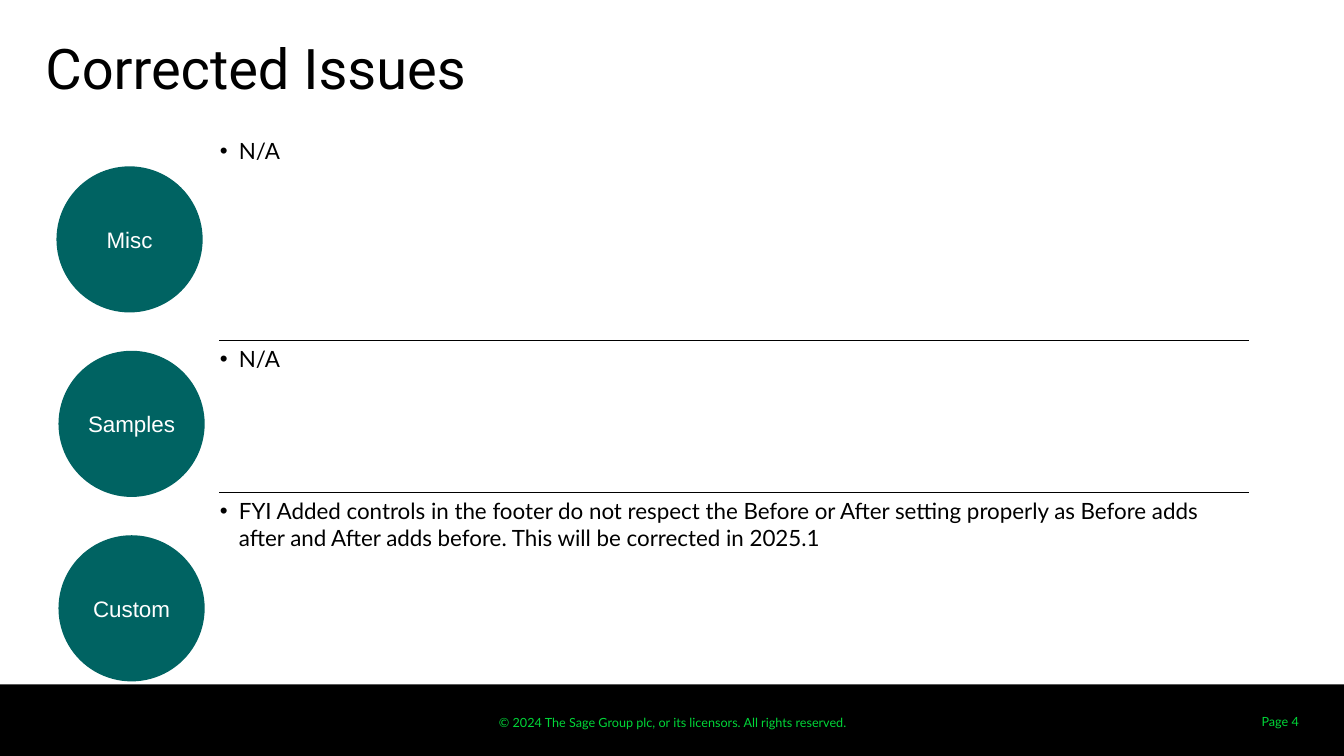
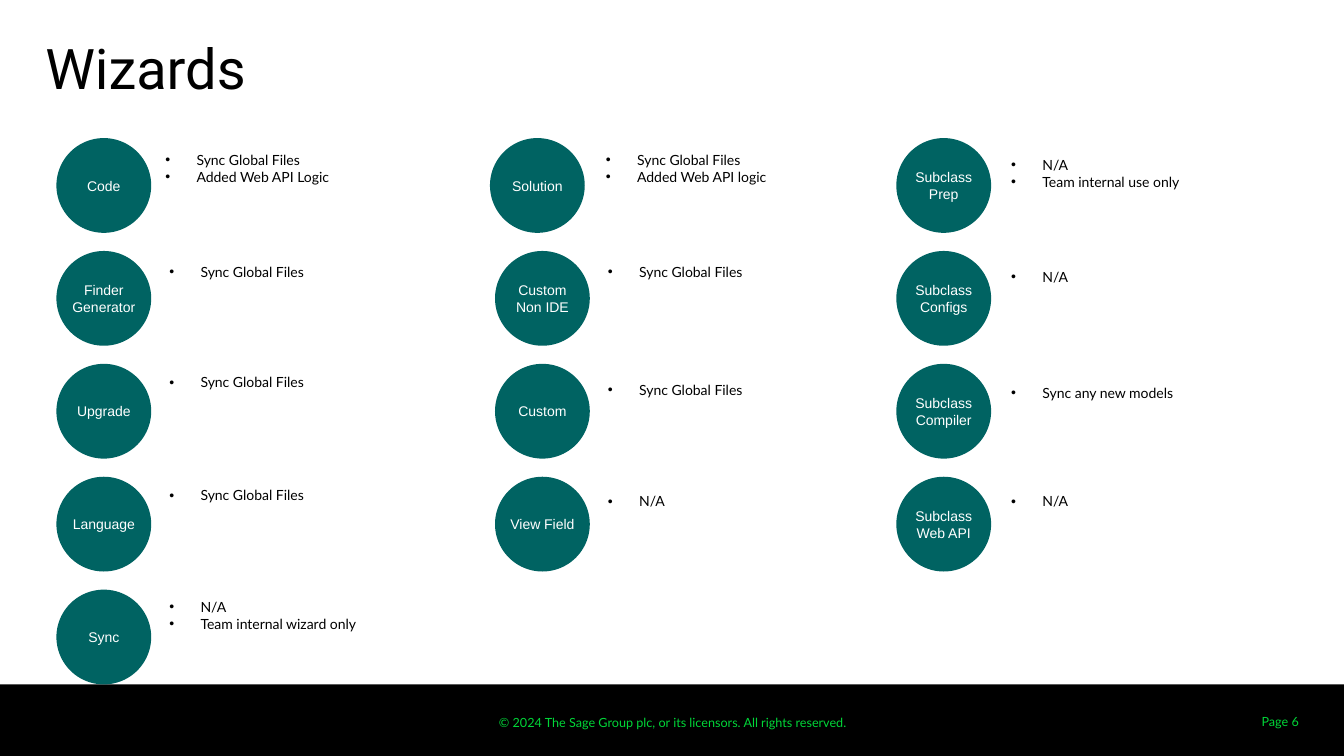
from dataclasses import dataclass

from pptx import Presentation
from pptx import util as u
from pptx.dml.color import RGBColor
from pptx.enum import shapes, text
from pptx.oxml import ns
from lxml import etree

Inches = u.Inches

COLORS = {
    "ink": "000000",
    "paper": "FFFFFF",
    "circle": "006362",
    "footer": "00D638",
}
COPYRIGHT = "© 2024 The Sage Group plc, or its licensors. All rights reserved."


@dataclass(frozen=True)
class TextStyle:
    font: str
    size: int
    color: str


@dataclass(frozen=True)
class Issue:
    area: str
    note: str
    row_height: float
    circle_left: float = 0.58


@dataclass(frozen=True)
class Wizard:
    name: str
    notes: str
    list_top: float
    circle_shift: float = 0
    list_shift: float = 0


@dataclass(frozen=True)
class WizardColumn:
    circle_left: float
    list_left: float
    wizards: tuple[Wizard, ...]


TITLE = TextStyle("Roboto", 40, "ink")
FOOTER = TextStyle("Lato", 9, "footer")
ISSUE_NOTE = TextStyle("Lato", 16, "ink")
ISSUE_CIRCLE = TextStyle("Arial", 16, "paper")
WIZARD_NOTE = TextStyle("Lato", 10, "ink")
WIZARD_CIRCLE = TextStyle("Arial", 10, "paper")

ISSUES = (
    Issue("Misc", "N/A", 2.07, circle_left=0.56),
    Issue("Samples", "N/A", 1.51),
    Issue("Custom", "FYI Added controls in the footer do not respect the Before or "
          "After setting properly as Before adds after and After adds before. "
          "This will be corrected in 2025.1", 1.51),
)

SYNC = "Sync Global Files"
WIZARD_COLUMNS = (
    WizardColumn(0.56, 1.68, (
        Wizard("Code", SYNC + "\nAdded Web API Logic", 1.5, list_shift=-0.04),
        Wizard("Finder\nGenerator", SYNC, 2.61),
        Wizard("Upgrade", SYNC, 3.71),
        Wizard("Language", SYNC, 4.83),
        Wizard("Sync", "N/A\nTeam internal wizard only", 5.94),
    )),
    WizardColumn(4.91, 6.03, (
        Wizard("Solution", SYNC + "\nAdded Web API logic", 1.5, -0.05, -0.02),
        Wizard("Custom\nNon IDE", SYNC, 2.61),
        Wizard("Custom", SYNC, 3.78),
        Wizard("View Field", "N/A", 4.89),
    )),
    WizardColumn(8.89, 10.03, (
        Wizard("Subclass\nPrep", "N/A\nTeam internal use only", 1.55),
        Wizard("Subclass\nConfigs", "N/A", 2.66),
        Wizard("Subclass\nCompiler", "Sync any new models", 3.81),
        Wizard("Subclass\nWeb API", "N/A", 4.89),
    )),
)


def rgb(name: str) -> RGBColor:
    return RGBColor.from_string(COLORS[name])


# Text helpers
def set_margins(frame, across: float = 0, down: float = 0) -> None:
    frame.margin_left = frame.margin_right = Inches(across)
    frame.margin_top = frame.margin_bottom = Inches(down)


def write(frame, words: str, style: TextStyle, align=text.PP_ALIGN.LEFT) -> None:
    frame.text = words
    for para in frame.paragraphs:
        para.alignment = align
        for span in para.runs:
            span.font.name = style.font
            span.font.size = u.Pt(style.size)
            span.font.color.rgb = rgb(style.color)


def add_bullets(frame, indent: float, space_after: int = 0) -> None:
    for para in frame.paragraphs:
        props = para._p.get_or_add_pPr()
        props.set("marL", str(Inches(indent)))
        props.set("indent", str(-Inches(indent)))
        etree.SubElement(props, ns.qn("a:buFont")).set("typeface", "Arial")
        etree.SubElement(props, ns.qn("a:buChar")).set("char", "•")
        para.space_after = u.Pt(space_after)


def add_text_box(page, left: float, top: float, width: float, height: float):
    box = page.shapes.add_textbox(
        Inches(left), Inches(top), Inches(width), Inches(height))
    box.text_frame.word_wrap = True
    return box


def add_filled(page, kind, left: float, top: float, width: float, height: float,
               color: str):
    shape = page.shapes.add_shape(
        kind, Inches(left), Inches(top), Inches(width), Inches(height))
    shape.shadow.inherit = False
    shape.fill.solid()
    shape.fill.fore_color.rgb = rgb(color)
    shape.line.fill.background()
    return shape


def add_circle(page, left: float, top: float, size: float, label: str,
               style: TextStyle) -> None:
    circle = add_filled(page, shapes.MSO_SHAPE.OVAL, left, top, size, size, "circle")
    frame = circle.text_frame
    frame.word_wrap = False
    frame.vertical_anchor = text.MSO_ANCHOR.MIDDLE
    set_margins(frame)
    write(frame, label, style, text.PP_ALIGN.CENTER)


# Shared layout: title place, black band and copyright line
def prepare_layout(layout) -> None:
    title = layout.placeholders[0]
    title.left, title.top = Inches(0.45), Inches(0.33)
    title.width, title.height = Inches(12.42), Inches(0.65)
    frame = title.text_frame
    frame.vertical_anchor = text.MSO_ANCHOR.TOP
    frame.auto_size = text.MSO_AUTO_SIZE.NONE
    set_margins(frame)


def add_footer(page) -> None:
    band = add_filled(page, shapes.MSO_SHAPE.RECTANGLE, 0, 6.79, 13.33, 0.71, "ink")
    notice = add_text_box(page, 4.92, 7.04, 3.5, 0.25)
    set_margins(notice.text_frame, down=0.05)
    write(notice.text_frame, COPYRIGHT, FOOTER, text.PP_ALIGN.CENTER)
    for part in (band, notice):
        page.slide_layout.shapes.element.append(part.element)


def add_page(deck, layout, title: str, number: int):
    page = deck.slides.add_slide(layout)
    write(page.shapes.title.text_frame, title, TITLE)
    box = add_text_box(page, 12.07, 6.96, 0.91, 0.4)
    box.text_frame.vertical_anchor = text.MSO_ANCHOR.MIDDLE
    write(box.text_frame, f"Page {number}", FOOTER, text.PP_ALIGN.RIGHT)
    return page


# Corrected issues: circles beside a ruled table
def add_rule(cell, side: str) -> None:
    line = etree.Element(ns.qn(f"a:{side}"), w=str(u.Pt(1)))
    fill = etree.SubElement(line, ns.qn("a:solidFill"))
    etree.SubElement(fill, ns.qn("a:srgbClr")).set("val", COLORS["ink"])
    props = cell._tc.get_or_add_tcPr()
    position = len(props.findall(ns.qn("a:lnT")))
    props.insert(position, line)


def draw_issues(page) -> None:
    for index, issue in enumerate(ISSUES):
        add_circle(page, issue.circle_left, 1.65 + 1.83 * index, 1.45,
                   issue.area, ISSUE_CIRCLE)

    height = sum(issue.row_height for issue in ISSUES)
    table = page.shapes.add_table(len(ISSUES), 1, Inches(2.18), Inches(1.31),
                                  Inches(10.2), Inches(height)).table
    table.first_row = table.horz_banding = False
    for index, issue in enumerate(ISSUES):
        table.rows[index].height = Inches(issue.row_height)
        cell = table.cell(index, 0)
        cell.fill.background()
        set_margins(cell, down=0.05)
        write(cell.text_frame, issue.note, ISSUE_NOTE)
        add_bullets(cell.text_frame, 0.19, space_after=3)
        if index > 0:
            add_rule(cell, "lnT")
        if index < len(ISSUES) - 1:
            add_rule(cell, "lnB")


# Wizards: columns of circles, each with a short list
def draw_wizards(page) -> None:
    for column in WIZARD_COLUMNS:
        for index, wizard in enumerate(column.wizards):
            add_circle(page, column.circle_left + wizard.circle_shift,
                       1.37 + 1.12 * index, 0.94, wizard.name, WIZARD_CIRCLE)
            box = add_text_box(page, column.list_left + wizard.list_shift,
                               wizard.list_top, 2.67, 0.58)
            set_margins(box.text_frame)
            write(box.text_frame, wizard.notes, WIZARD_NOTE)
            add_bullets(box.text_frame, 0.31)


def main() -> None:
    deck = Presentation()
    deck.slide_width, deck.slide_height = Inches(13.33), Inches(7.5)
    layout = deck.slide_layouts.get_by_name("Title Only")
    prepare_layout(layout)

    issues_page = add_page(deck, layout, "Corrected Issues", 4)
    add_footer(issues_page)
    draw_issues(issues_page)
    draw_wizards(add_page(deck, layout, "Wizards", 6))
    deck.save("out.pptx")


if __name__ == "__main__":
    main()
